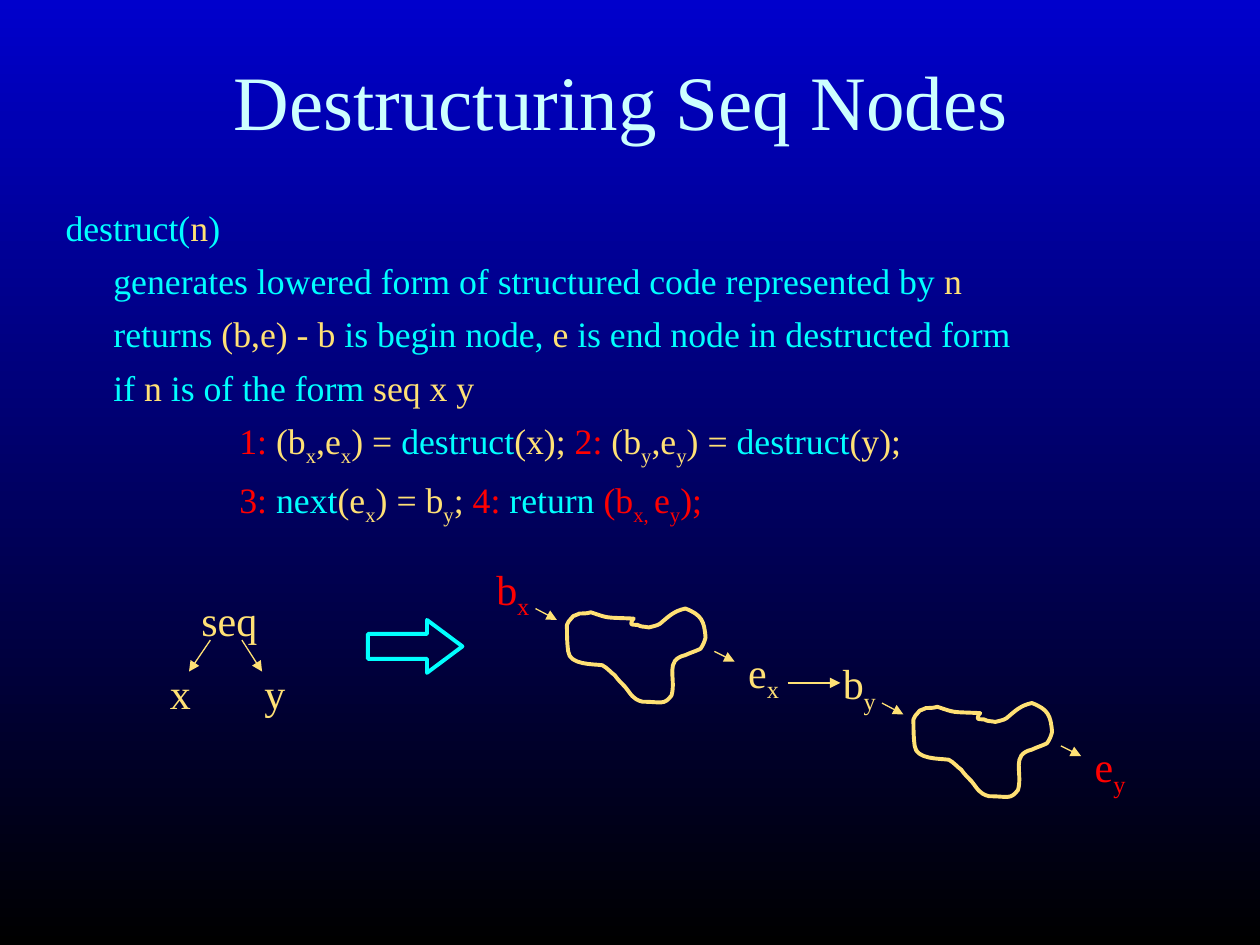
from lxml import etree
from pptx import Presentation
from pptx.dml.color import RGBColor
from pptx.enum import shapes, text
from pptx.oxml.ns import qn
from pptx.util import Inches, Pt

THEME = {
    "font": "Times New Roman",
    "colors": {"title": "CCFFFF", "cyan": "00FFFF", "gold": "FFE175", "red": "FF0000",
               "top": "0000CC", "bottom": "000000"},
    "title": 44, "body": 20.4, "label": 24, "thin": 0.75, "thick": 2.25,
}

# Text between tildes is subscript
TITLE = "Destructuring Seq Nodes "
BODY = [  # left margin, first-line indent, spans
    (0.38, -0.38, [("cyan", "destruct("), ("gold", "n"), ("cyan", ")")]),
    (0.38, 0, [("cyan", "generates lowered form of structured code represented by "),
               ("gold", "n")]),
    (0.38, 0, [("cyan", "returns "), ("gold", "(b,e) - b "), ("cyan", "is begin node, "),
               ("gold", "e"), ("cyan", " is end node in destructed form")]),
    (0.38, 0, [("cyan", "if "), ("gold", "n"), ("cyan", " is of the form "),
               ("gold", "seq x y")]),
    (1.38, 0, [("red", "1:"), ("gold", " (b~x~,e~x~) = "), ("cyan", "destruct"),
               ("gold", "(x); "), ("red", "2:"), ("gold", " (b~y~,e~y~) = "),
               ("cyan", "destruct"), ("gold", "(y);")]),
    (1.38, 0, [("red", "3: "), ("cyan", "next"), ("gold", "(e~x~) = b~y~; "),
               ("red", "4: "), ("cyan", "return "), ("red", "(b~x, ~e~y~);")]),
]
TREE_LABELS = [("seq", 1.5, 4.67, 0.67), ("x", 1.25, 5.25, 0.37), ("y", 2, 5.25, 0.37)]
PLAIN_ARROWS = [(1.67, 5.08, 1.5, 5.33), (1.92, 5.08, 2.08, 5.33), (6.25, 5.42, 6.67, 5.42)]

# Code fragments: offset, begin label and colour, end label and colour
FRAGMENTS = [
    (0, 0, ("b~x~", "red"), ("e~x~", "gold")),
    (2.75, 0.75, ("b~y~", "gold"), ("e~y~", "red")),
]
BLOB_START = (5.03, 4.91)
BLOB_CURVES = [  # two control points and an end point
    (4.79, 4.9, 4.84, 4.91, 4.69, 4.86), (4.66, 4.87, 4.63, 4.87, 4.6, 4.87),
    (4.58, 4.88, 4.55, 4.89, 4.55, 4.89), (4.5, 4.95, 4.52, 4.92, 4.5, 4.96),
    (4.5, 5.03, 4.5, 5.1, 4.51, 5.17), (4.52, 5.28, 4.71, 5.27, 4.78, 5.28),
    (4.82, 5.3, 4.85, 5.34, 4.88, 5.36), (4.9, 5.39, 4.93, 5.42, 4.96, 5.45),
    (5.01, 5.51, 5.02, 5.55, 5.1, 5.57), (5.25, 5.57, 5.27, 5.6, 5.33, 5.52),
    (5.37, 5.38, 5.27, 5.24, 5.44, 5.2), (5.48, 5.18, 5.52, 5.17, 5.56, 5.15),
    (5.58, 5.12, 5.59, 5.1, 5.6, 5.06), (5.59, 4.93, 5.57, 4.88, 5.44, 4.83),
    (5.35, 4.85, 5.31, 4.89, 5.24, 4.95), (5.21, 4.97, 5.18, 4.97, 5.15, 4.98),
    (5.1, 4.97, 5.1, 4.98, 5.06, 4.96), (5.04, 4.96, 5.01, 4.96, 5.01, 4.95),
    (5.01, 4.93, 5.02, 4.92, 5.03, 4.91),
]


def color(name):
    return RGBColor.from_string(THEME["colors"][name])


def place(shape, *bounds):
    shape.left, shape.top, shape.width, shape.height = map(Inches, bounds)


def add_spans(paragraph, spans, size):
    for color_name, marked in spans:
        for index, piece in enumerate(marked.split("~")):
            if not piece:
                continue
            span = paragraph.add_run()
            span.text = piece
            span.font.name, span.font.size = THEME["font"], Pt(size)
            span.font.color.rgb = color(color_name)
            if index % 2:
                span.font._element.set("baseline", "-25000")


def add_label(page, marked, color_name, left, top, width, height=0.5):
    box = page.shapes.add_textbox(*map(Inches, (left, top, width, height)))
    box.text_frame.word_wrap = False
    box.text_frame.auto_size = text.MSO_AUTO_SIZE.SHAPE_TO_FIT_TEXT
    add_spans(box.text_frame.paragraphs[0], [(color_name, marked)], THEME["label"])


def add_arrow(page, *ends):
    arrow = page.shapes.add_connector(shapes.MSO_CONNECTOR.STRAIGHT, *map(Inches, ends))
    arrow.line.color.rgb = color("gold")
    arrow.line.width = Pt(THEME["thin"])
    etree.SubElement(arrow.line._get_or_add_ln(), qn("a:tailEnd"), type="triangle")
    etree.SubElement(arrow._element.spPr, qn("a:effectLst"))


def outline(shape, color_name):
    shape.shadow.inherit = False
    shape.fill.background()
    shape.line.color.rgb = color(color_name)
    shape.line.width = Pt(THEME["thick"])


def add_blob(page, dx, dy):
    def shifted(x, y):
        return Inches(x + dx), Inches(y + dy)

    builder = page.shapes.build_freeform(*shifted(*BLOB_START))
    builder.add_line_segments([shifted(*curve[4:]) for curve in BLOB_CURVES])
    blob = builder.convert_to_shape()
    # Turn each straight segment into a Bezier curve
    for segment, curve in zip(list(blob._element.iter(qn("a:lnTo"))), BLOB_CURVES):
        segment.tag = qn("a:cubicBezTo")
        for position in (0, 2):
            x, y = shifted(*curve[position:position + 2])
            control = etree.Element(qn("a:pt"), x=str(x - blob.left), y=str(y - blob.top))
            segment.insert(position // 2, control)
    outline(blob, "gold")


def add_fragment(page, dx, dy, begin, end):
    add_label(page, *begin, 3.84 + dx, 4.42 + dy, 0.48, 0.56)
    add_label(page, *end, 5.84 + dx, 5.08 + dy, 0.47, 0.56)
    add_blob(page, dx, dy)
    add_arrow(page, 4.25 + dx, 4.83 + dy, 4.42 + dx, 4.92 + dy)
    add_arrow(page, 5.67 + dx, 5.17 + dy, 5.83 + dx, 5.25 + dy)


def main():
    deck = Presentation()
    deck.slide_width, deck.slide_height = Inches(10), Inches(7.5)
    page = deck.slides.add_slide(deck.slide_layouts[1])

    # Background
    fill = page.background.fill
    fill.gradient()
    fill.gradient_angle = 270
    for stop, name in zip(fill.gradient_stops, ("top", "bottom")):
        stop.color.rgb = color(name)

    # Title
    title = page.shapes.title
    place(title, 0.42, 0.17, 9.17, 1.25)
    title.text_frame.vertical_anchor = text.MSO_ANCHOR.MIDDLE
    title.text_frame.auto_size = text.MSO_AUTO_SIZE.NONE
    heading = title.text_frame.paragraphs[0]
    heading.alignment = text.PP_ALIGN.CENTER
    add_spans(heading, [("title", TITLE)], THEME["title"])

    # Algorithm
    body = page.placeholders[1]
    place(body, 0.42, 1.58, 9.17, 2.58)
    frame = body.text_frame
    frame.auto_size = text.MSO_AUTO_SIZE.NONE
    for index, (margin, indent, spans) in enumerate(BODY):
        paragraph = frame.add_paragraph() if index else frame.paragraphs[0]
        paragraph.space_before = Pt(6 if index else 0)
        properties = paragraph._p.get_or_add_pPr()
        properties.set("marL", str(Inches(margin)))
        properties.set("indent", str(Inches(indent)))
        etree.SubElement(properties, qn("a:buNone"))
        add_spans(paragraph, spans, THEME["body"])

    # Tree and lowered form
    for label, *bounds in TREE_LABELS:
        add_label(page, label, "gold", *bounds)
    for fragment in FRAGMENTS:
        add_fragment(page, *fragment)
    for ends in PLAIN_ARROWS:
        add_arrow(page, *ends)

    # Transformation arrow
    block_arrow = page.shapes.add_shape(
        shapes.MSO_SHAPE.RIGHT_ARROW, *map(Inches, (2.92, 4.92, 0.75, 0.42)))
    block_arrow.adjustments[0], block_arrow.adjustments[1] = 0.47, 0.67
    outline(block_arrow, "cyan")

    deck.save("out.pptx")


if __name__ == "__main__":
    main()
